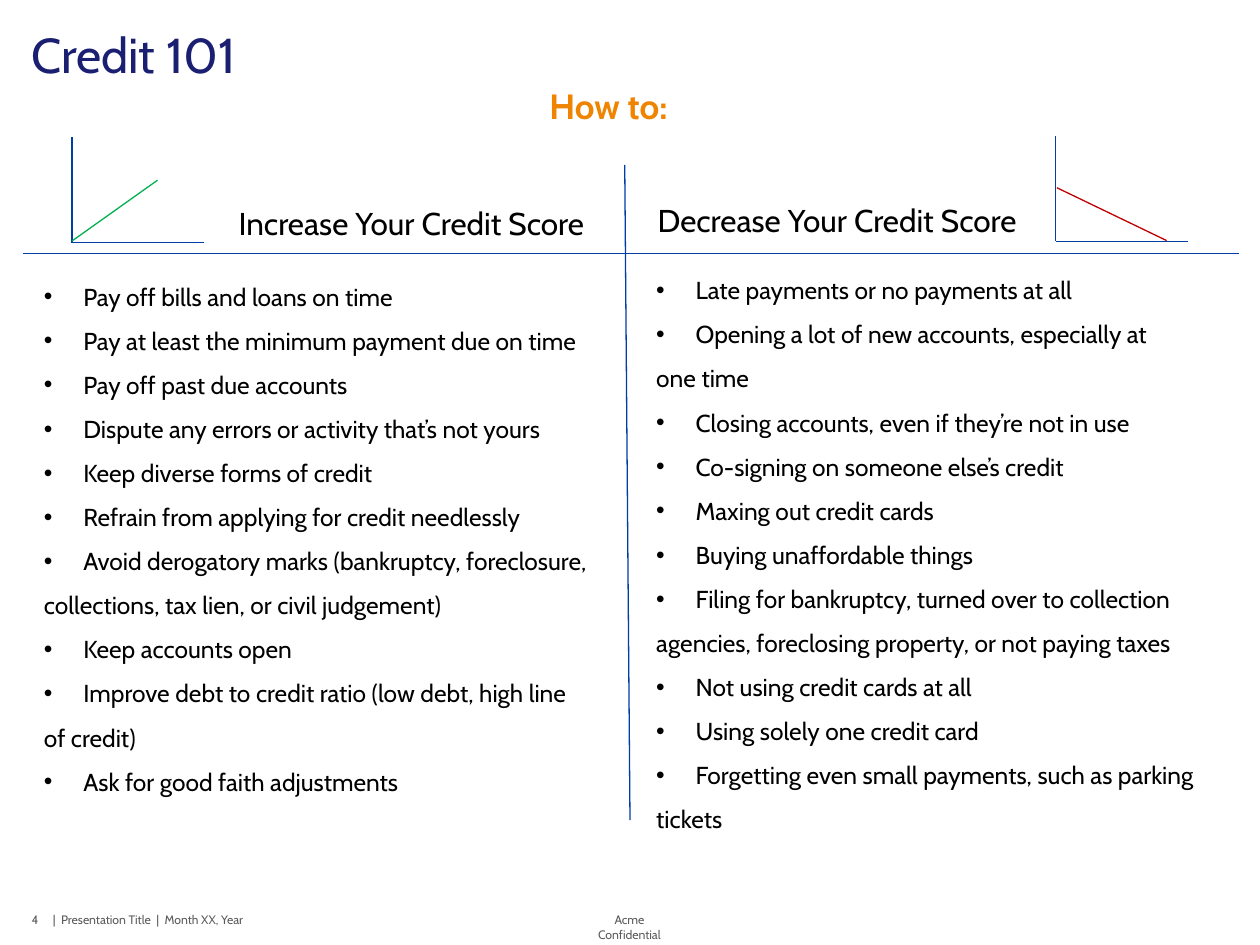
from dataclasses import dataclass

from lxml.etree import SubElement
from pptx import Presentation
from pptx.dml.color import RGBColor as Color
from pptx.enum.shapes import MSO_CONNECTOR as Connector
from pptx.enum.text import MSO_ANCHOR as Anchor, MSO_AUTO_SIZE as AutoSize, PP_ALIGN as Align
from pptx.oxml.ns import qn
from pptx.util import Pt


@dataclass(frozen=True)
class Theme:
    font: str = "Cabin"
    navy: str = "1A1F71"
    orange: str = "EF8400"
    blue: str = "003DA5"
    green: str = "00B050"
    red: str = "C00000"
    black: str = "000000"
    grey: str = "5C5C5C"
    title: int = 28
    subtitle: int = 20
    heading: int = 18
    body: int = 14
    footer: int = 7
    line: float = 0.75
    indent: float = 22.5


def apply(target, values):
    for name, value in values.items():
        setattr(target, name, value)


class SlideBuilder:
    def __init__(self, page, theme):
        self.page = page
        self.theme = theme

    def line(self, start, end, color):
        connector = self.page.shapes.add_connector(
            Connector.STRAIGHT, *(Pt(value) for value in (*start, *end)))
        connector.line.width = Pt(self.theme.line)
        connector.line.color.rgb = Color.from_string(color)
        SubElement(connector._element.spPr, qn("a:effectLst"))

    def text(self, frame, lines, size, color, bold=False, inset=(7.2, 3.6),
             wrap=True, anchor=Anchor.TOP, **para_format):
        box = self.page.shapes.add_textbox(*(Pt(value) for value in frame))
        across, down = (Pt(value) for value in inset)
        body = box.text_frame
        apply(body, dict(margin_left=across, margin_right=across, margin_top=down,
                         margin_bottom=down, word_wrap=wrap, vertical_anchor=anchor,
                         auto_size=AutoSize.SHAPE_TO_FIT_TEXT))
        for index, line in enumerate(lines):
            para = body.paragraphs[0] if index == 0 else body.add_paragraph()
            apply(para, para_format)
            span = para.add_run()
            span.text = line
            apply(span.font, dict(name=self.theme.font, size=Pt(size), bold=bold))
            span.font.color.rgb = Color.from_string(color)
        return body

    def label(self, frame, line, size, color, **options):
        """Add one line of text without inner margins."""
        self.text(frame, [line], size, color, inset=(0, 0), **options)

    def footer(self, frame, line, **options):
        self.label(frame, line, self.theme.footer, self.theme.grey, wrap=False, **options)

    def heading(self, left, top, line):
        self.text((left, top, 365, 28.8), [line], self.theme.heading,
                  self.theme.black, alignment=Align.CENTER)

    def bullets(self, frame, items):
        """Bullet each item; lines after a newline follow flush left."""
        lines = [(line, index == 0) for item in items
                 for index, line in enumerate(item.split("\n"))]
        body = self.text(frame, [line for line, _ in lines], self.theme.body,
                         self.theme.black, line_spacing=1.5)
        for para, (_, starts_item) in zip(body.paragraphs, lines):
            if starts_item:
                props = para._p.get_or_add_pPr()
                indent = Pt(self.theme.indent)
                props.set("marL", str(indent))
                props.set("indent", str(-indent))
                SubElement(props, qn("a:buFont"), typeface="Arial")
                SubElement(props, qn("a:buChar"), char="•")

    def trend(self, origin, start, end, color):
        """Draw a pair of axes with a trend line."""
        left, bottom = origin
        self.line((left, bottom - 60.3), origin, self.theme.blue)
        self.line(origin, (left + 75.3, bottom), self.theme.blue)
        self.line(start, end, color)


INCREASE = [
    "Pay off bills and loans on time",
    "Pay at least the minimum payment due on time",
    "Pay off past due accounts",
    "Dispute any errors or activity that’s not yours",
    "Keep diverse forms of credit",
    "Refrain from applying for credit needlessly",
    "Avoid derogatory marks (bankruptcy, foreclosure,\n"
    "collections, tax lien, or civil judgement)",
    "Keep accounts open",
    "Improve debt to credit ratio (low debt, high line\nof credit)",
    "Ask for good faith adjustments",
]
DECREASE = [
    "Late payments or no payments at all",
    "Opening a lot of new accounts, especially at\none time",
    "Closing accounts, even if they’re not in use",
    "Co-signing on someone else’s credit",
    "Maxing out credit cards",
    "Buying unaffordable things",
    "Filing for bankruptcy, turned over to collection\n"
    "agencies, foreclosing property, or not paying taxes",
    "Not using credit cards at all",
    "Using solely one credit card",
    "Forgetting even small payments, such as parking\ntickets",
]


def main():
    deck = Presentation()
    apply(deck, dict(slide_width=Pt(720), slide_height=Pt(540)))
    theme = Theme()
    slide = SlideBuilder(deck.slides.add_slide(deck.slide_layouts[6]), theme)

    slide.footer((333.4, 521.3, 52.6, 8.6), "Acme Confidential", alignment=Align.CENTER)
    slide.footer((30.2, 521.3, 116.6, 8.6), "|  Presentation Title  |  Month XX, Year")
    slide.footer((18, 521.3, 8.6, 8.6), "4", anchor=Anchor.MIDDLE)

    slide.label((18, 19.4, 684, 28.8), "Credit 101", theme.title, theme.navy,
                line_spacing=0.85)
    slide.label((313.9, 51.1, 115.2, 21.6), "How to:", theme.subtitle, theme.orange,
                bold=True, line_spacing=0.9, space_before=Pt(10))

    slide.line((13, 144.7), (707.8, 144.7), theme.blue)
    slide.line((357, 94.3), (360, 468.7), theme.blue)

    slide.heading(52.6, 113, "Increase Your Credit Score")
    slide.heading(295.9, 111.6, "Decrease Your Credit Score")
    slide.trend((41.2, 138.7), (41.2, 137.7), (90, 103), theme.green)
    slide.trend((603.3, 137.9), (604, 107.3), (666.7, 137.5), theme.red)

    slide.bullets((18, 149, 347, 312.5), INCREASE)
    slide.bullets((367.9, 145.4, 471.6, 338.4), DECREASE)
    deck.save("out.pptx")


if __name__ == "__main__":
    main()
